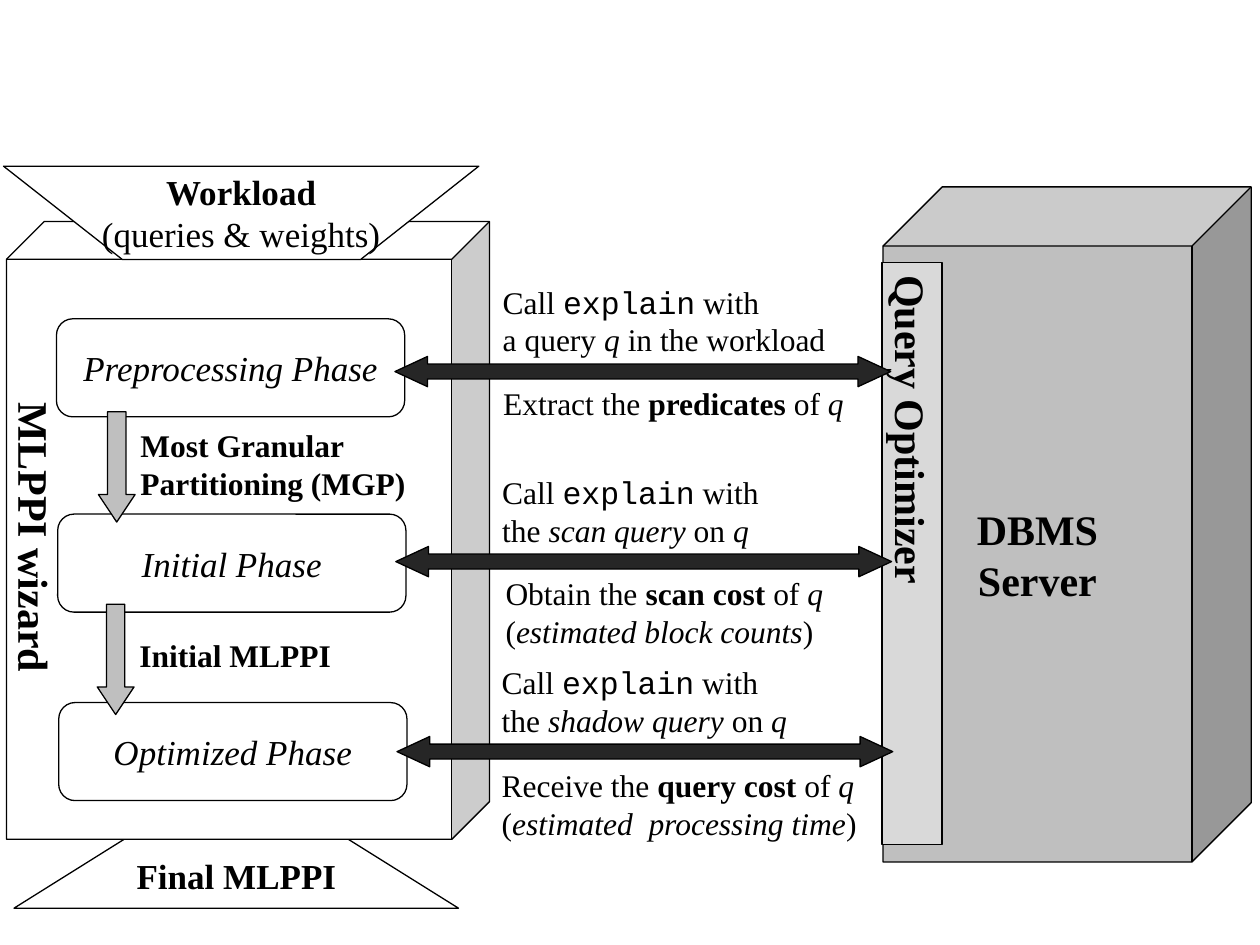
from pptx import Presentation
from pptx.dml.color import RGBColor
from pptx.enum.shapes import MSO_SHAPE as Shape
from pptx.enum.text import MSO_ANCHOR as Anchor, PP_ALIGN as Align
from pptx.util import Pt

BLACK = RGBColor(0, 0, 0)
WHITE = RGBColor(0xFF, 0xFF, 0xFF)
SILVER = RGBColor(0xBF, 0xBF, 0xBF)
PALE = RGBColor(0xD9, 0xD9, 0xD9)
CHARCOAL = RGBColor(0x26, 0x26, 0x26)
SERIF, MONO = "Times New Roman", "Courier New"
BOLD, ITALIC, CODE = "*", "_", "`"


def style_outline(shape, fill):
    shape.shadow.inherit = False
    if fill is None:
        shape.fill.background()
    else:
        shape.fill.solid()
        shape.fill.fore_color.rgb = fill
    shape.line.color.rgb = BLACK
    shape.line.width = Pt(0.74)


def format_span(span, mark, size):
    font = span.font
    font.name = MONO if mark == CODE else SERIF
    font.size = Pt(size)
    font.bold = mark == BOLD
    font.italic = mark == ITALIC
    font.color.rgb = BLACK


def write(box, lines, size, align=Align.CENTER, anchor=Anchor.MIDDLE, wrap=False):
    frame = box.text_frame
    frame.word_wrap = wrap
    frame.vertical_anchor = anchor
    frame.text = "\n".join(lines)
    for para, line in zip(frame.paragraphs, lines):
        para.alignment = align
        para.text = ""
        for piece in line.split("|"):
            mark = piece[0] if piece[0] in (BOLD, ITALIC, CODE) else ""
            span = para.add_run()
            span.text = piece[len(mark):]
            format_span(span, mark, size)


def write_downward(box, line, size):
    write(box, [line], size, wrap=True)
    frame = box.text_frame
    frame.margin_left = frame.margin_right = Pt(3.6)
    frame.margin_top = frame.margin_bottom = Pt(7.2)
    frame._txBody.bodyPr.set("vert", "eaVert")


def add_block(page, kind, place, fill=None, adjustments=()):
    shape = page.shapes.add_shape(kind, *map(Pt, place))
    style_outline(shape, fill)
    for index, value in enumerate(adjustments):
        shape.adjustments[index] = value
    return shape


def add_trapezoid(page, points, fill=None):
    corners = [(Pt(x), Pt(y)) for x, y in points]
    builder = page.shapes.build_freeform(*corners[0], scale=1.0)
    builder.add_line_segments(corners[1:], close=True)
    shape = builder.convert_to_shape()
    style_outline(shape, fill)
    return shape


def add_caption(page, left, top, width, lines, size=18):
    height = 7.2 + 1.2 * size * len(lines)
    box = page.shapes.add_textbox(*map(Pt, (left, top, width, height)))
    write(box, lines, size, Align.LEFT, Anchor.TOP, True)


def add_server(page):
    server = add_block(page, Shape.CUBE, (504.6, 106.8, 210.4, 385.8), SILVER, [0.161])
    write(server, ["*DBMS", "*Server"], 24)
    optimizer = add_block(page, Shape.RECTANGLE, (504, 150, 34.3, 332.8), PALE)
    write_downward(optimizer, "*Query Optimizer", 24)


def add_wizard(page):
    add_trapezoid(page, [(262, 519), (199, 479.6), (71, 479.6), (8, 519)])
    add_block(page, Shape.CUBE, (3.7, 126.6, 276, 353), WHITE, [0.078])
    title = page.shapes.add_textbox(Pt(5), Pt(223), Pt(30.2), Pt(200))
    write_downward(title, "*MLPPI wizard", 24)
    add_caption(page, 71, 484.6, 160, ["*Final MLPPI"], 20)


def add_phases(page):
    phases = [("Preprocessing", 32.3, 182.2), ("Initial", 33, 293.8), ("Optimized", 33.6, 401.5)]
    for name, left, top in phases:
        phase = add_block(page, Shape.ROUNDED_RECTANGLE, (left, top, 199, 56), None, [0.167])
        write(phase, [f"_{name} Phase"], 20)
    for left, top in [(56.2, 235.3), (55.6, 345.3)]:
        add_block(page, Shape.DOWN_ARROW, (left, top, 21, 63), SILVER, [0.5, 0.75])
    add_caption(page, 73.2, 239.8, 190, ["*Most Granular", "*Partitioning (MGP)"])
    add_caption(page, 72.6, 360, 150, ["*Initial MLPPI"])


def add_calls(page):
    calls = [
        (280.2, 158, "a query |_q |in the workload"),
        (279.9, 266.7, "the |_scan query |on |_q"),
        (279.6, 375.3, "the |_shadow query |on |_q"),
    ]
    for left, top, subject in calls:
        add_caption(page, left, top, 222, ["Call |`explain| with", subject])
    answers = [
        (280.4, 216, ["Extract the |*predicates| of |_q"]),
        (281.8, 324.7, ["Obtain the |*scan cost |of |_q", "(|_estimated block counts|)"]),
        (279.6, 434.2, ["Receive the |*query cost |of |_q",
                        "(|_estimated  processing time|)"]),
    ]
    for left, top, lines in answers:
        add_caption(page, left, top, 228, lines)
    for left, top in [(225.7, 203.7), (226.2, 312.3), (226.9, 420.9)]:
        add_block(page, Shape.LEFT_RIGHT_ARROW, (left, top, 283.3, 17.3), CHARCOAL, [0.493, 1.08])


def main():
    deck = Presentation()
    deck.slide_width, deck.slide_height = Pt(720), Pt(540)
    page = deck.slides.add_slide(deck.slide_layouts[6])
    add_wizard(page)
    add_server(page)
    add_phases(page)
    workload = add_trapezoid(page, [(2, 95), (70, 148.4), (206, 148.4), (273.6, 95)], WHITE)
    write(workload, ["*Workload", "(queries & weights)"], 20)
    add_calls(page)
    deck.save("out.pptx")


main()
